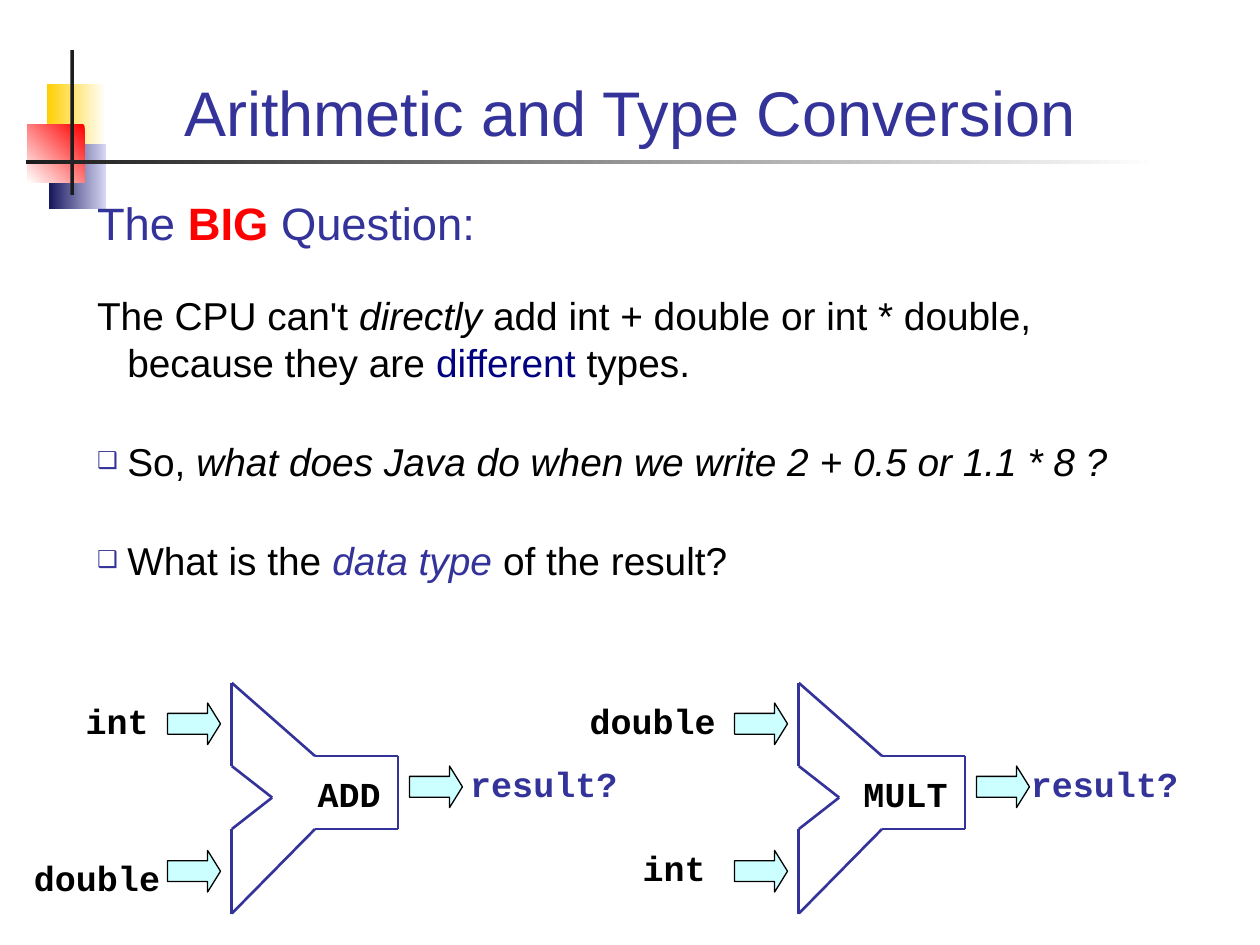
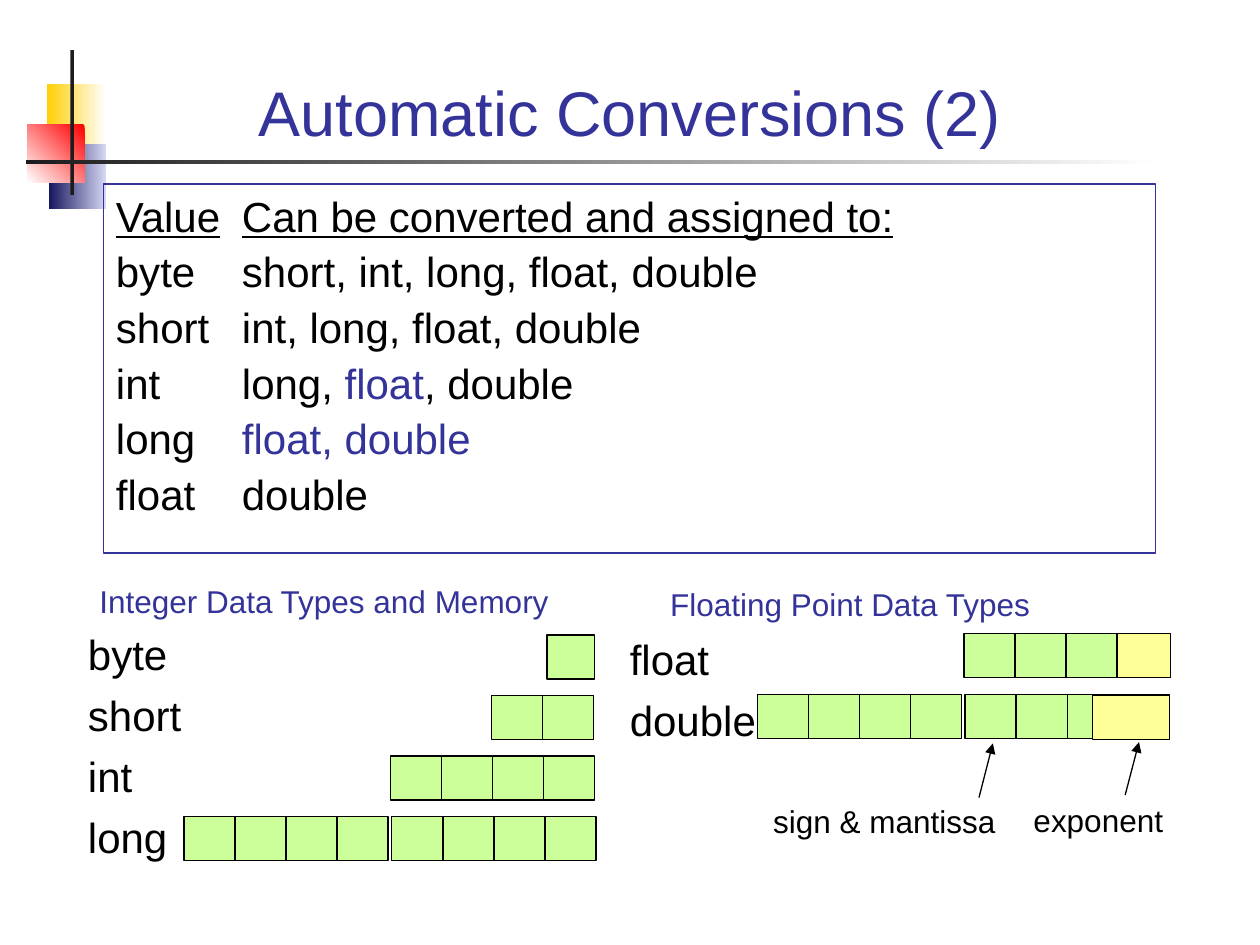
from lxml.etree import SubElement
from pptx import Presentation
from pptx.dml.color import RGBColor
from pptx.enum.shapes import MSO_CONNECTOR as Connector, MSO_SHAPE as Shape
from pptx.enum.text import MSO_ANCHOR as Anchor, MSO_AUTO_SIZE as AutoSize, PP_ALIGN as Align
from pptx.oxml.ns import qn
from pptx.util import Inches, Pt

INDIGO, BLACK, WHITE, CHARCOAL = "333399", "000000", "FFFFFF", "1C1C1C"
RED, NAVY = "FF0000", "000080"
CYAN, GREEN, YELLOW = "CCFFFF", "CCFF99", "FFFF99"
SANS, MONO = "Arial", "Courier New"
BYTE_WIDTH, BYTE_HEIGHT = 1.62 / 4, 0.35
ROW_PITCH = 0.48
ALU_OUTLINE = [(0, 0), (0.66, 0.58), (1.32, 0.58), (1.32, 1.16), (0.66, 1.16),
               (0, 1.83), (0, 1.16), (0.32, 0.91), (0, 0.66)]


def rgb(value):
    return RGBColor.from_string(value)


def box(*lengths):
    return [Inches(length) for length in lengths]


def place(shape, *bounds):
    shape.left, shape.top, shape.width, shape.height = box(*bounds)


def write(paragraph, runs, size, color=BLACK, font=SANS, bold=False,
          before=0, align=Align.LEFT):
    paragraph.alignment = align
    paragraph.space_before = Pt(before)
    paragraph.line_spacing = 1.0
    for part in runs:
        text, style = (part, {}) if isinstance(part, str) else part
        run = paragraph.add_run()
        run.text = text
        run.font.name = font
        run.font.size = Pt(size)
        run.font.bold = style.get("bold", bold)
        run.font.italic = style.get("italic", False)
        run.font.underline = style.get("underline", False)
        run.font.color.rgb = rgb(style.get("color", color))


def next_paragraph(frame, index):
    return frame.add_paragraph() if index else frame.paragraphs[0]


def set_indent(paragraph, margin, hanging, bullet=None, tab=None):
    properties = paragraph._p.get_or_add_pPr()
    properties.set("marL", str(Inches(margin)))
    properties.set("indent", str(Inches(-hanging)))
    if bullet:
        color = SubElement(properties, qn("a:buClr"))
        SubElement(color, qn("a:srgbClr"), val=INDIGO)
        SubElement(properties, qn("a:buSzPct"), val="60000")
        SubElement(properties, qn("a:buChar"), char=bullet)
    else:
        SubElement(properties, qn("a:buNone"))
    if tab:
        properties.set("defTabSz", str(Inches(tab)))
        stops = SubElement(properties, qn("a:tabLst"))
        SubElement(stops, qn("a:tab"), pos=str(Inches(tab)), algn="l")


def add_label(slide, bounds, lines, size, color=BLACK, font=SANS, bold=False,
              align=Align.LEFT):
    frame = slide.shapes.add_textbox(*box(*bounds)).text_frame
    frame.word_wrap = align == Align.LEFT
    frame.auto_size = AutoSize.NONE
    for index, line in enumerate(lines):
        write(next_paragraph(frame, index), [line], size, color, font, bold,
              6 if index else 0, align)


def add_block(slide, kind, bounds, fill):
    block = slide.shapes.add_shape(kind, *box(*bounds))
    block.shadow.inherit = False
    block.fill.solid()
    block.fill.fore_color.rgb = rgb(fill)
    block.line.color.rgb = rgb(BLACK)
    block.line.width = Pt(0.75)
    return block


def add_line(slide, start, end, color, width):
    line = slide.shapes.add_connector(Connector.STRAIGHT, *box(*start, *end))
    line.line.color.rgb = rgb(color)
    line.line.width = Pt(width)
    SubElement(line._element.spPr, qn("a:effectLst"))
    return line


def add_pointer(slide, start, end):
    pointer = add_line(slide, start, end, BLACK, 0.75)
    SubElement(pointer.line._get_or_add_ln(), qn("a:tailEnd"), type="triangle")


def add_ornament(slide, bounds, start, end, angle):
    ornament = slide.shapes.add_shape(Shape.RECTANGLE, *box(*bounds))
    ornament.shadow.inherit = False
    ornament.line.fill.background()
    ornament.fill.gradient()
    ornament.fill.gradient_angle = angle
    for stop, color in zip(ornament.fill.gradient_stops, (start, end)):
        stop.color.rgb = rgb(color)
    return ornament


def decorate_master(slide, master):
    ornaments = [
        ((0.37, 0.67, 0.47, 0.52), WHITE, "FFCF01", 180),
        ((0.39, 1.14, 0.45, 0.52), "D6D6F5", "17175E", 180),
        ((0.22, 0.99, 0.45, 0.46), RED, WHITE, 225),
        ((0.56, 0.4, 0.03, 1.15), CHARCOAL, CHARCOAL, 180),
        ((0.21, 1.27, 8.99, 0.03), WHITE, CHARCOAL, 180),
    ]
    for index, ornament in enumerate(ornaments):
        element = add_ornament(slide, *ornament)._element
        element.xpath(".//p:cNvPr")[0].set("id", str(100 + index))
        master.shapes.element.insert(2 + index, element)


def add_titled_slide(deck, title):
    slide = deck.slides.add_slide(deck.slide_layouts[1])
    heading = slide.shapes.title
    place(heading, 0.67, 0.28, 8.66, 0.95)
    frame = heading.text_frame
    frame.vertical_anchor = Anchor.BOTTOM
    frame.auto_size = AutoSize.NONE
    write(frame.paragraphs[0], [title], 36, INDIGO, align=Align.CENTER)
    return slide


def open_body(slide, *bounds):
    body = slide.placeholders[1]
    place(body, *bounds)
    body.text_frame.auto_size = AutoSize.NONE
    return body


def add_alu(slide, left, operation, operation_box, inputs, result_left):
    corners = [(left + x, 5.42 + y) for x, y in ALU_OUTLINE]
    for start, end in zip(corners, corners[1:] + corners[:1]):
        add_line(slide, start, end, INDIGO, 1.5)
    for x, y in [(-0.51, 5.58), (-0.51, 6.75), (1.41, 6.08)]:
        arrow = add_block(slide, Shape.RIGHT_ARROW, (left + x, y, 0.42, 0.33), CYAN)
        arrow.adjustments[1] = 0.31
    labels = [(operation, operation_box, BLACK),
              ("result?", (result_left, 6, 1.37, 0.44), INDIGO)]
    labels += [(name, bounds, BLACK) for name, bounds in inputs]
    for text, bounds, color in labels:
        add_label(slide, bounds, [text], 20, color, MONO, True, Align.RIGHT)


def add_bytes(slide, left, top, count):
    for index in range(count):
        cell = (left + index * BYTE_WIDTH, top, BYTE_WIDTH, BYTE_HEIGHT)
        add_block(slide, Shape.RECTANGLE, cell, GREEN)


def build_question(slide):
    italic = {"italic": True}
    paragraphs = [
        (["The ", ("BIG", {"bold": True, "color": RED}), " Question:"], 25.9, INDIGO, 0, None),
        (["The CPU can't ", ("directly", italic),
          " add int + double or int * double, because they are ",
          ("different", {"color": NAVY}), " types."], 22.2, BLACK, 24, None),
        (["So, ", ("what does Java do when we write 2 + 0.5 or 1.1 * 8 ?", italic)],
         22.2, BLACK, 30, "❑"),
        (["What is the ", ("data type", {"italic": True, "color": INDIGO}),
          " of the result?"], 22.2, BLACK, 30, "❑"),
    ]
    frame = open_body(slide, 0.67, 1.5, 8.66, 3.7).text_frame
    for index, (runs, size, color, before, bullet) in enumerate(paragraphs):
        paragraph = next_paragraph(frame, index)
        set_indent(paragraph, 0.24, 0.24, bullet)
        write(paragraph, runs, size, color, before=before)

    add_alu(slide, 1.84, "ADD", (2.42, 6.08, 0.7, 0.44),
            [("int", (0.58, 5.5, 0.7, 0.44)), ("double", (0.17, 6.75, 1.2, 0.44))], 3.63)
    add_alu(slide, 6.34, "MULT", (6.75, 6.08, 0.87, 0.44),
            [("double", (4.58, 5.5, 1.2, 0.44)), ("int", (5, 6.67, 0.7, 0.44))], 8.08)


def build_conversions(slide):
    underlined, highlighted = {"underline": True}, {"color": INDIGO}
    conversions = [
        [("Value", underlined), "\t", ("Can be converted and assigned to:", underlined)],
        ["byte\tshort, int, long, float, double"],
        ["short\tint, long, float, double"],
        ["int\tlong, ", ("float", highlighted), ", double"],
        ["long\t", ("float, double", highlighted)],
        ["float\tdouble"],
    ]
    body = open_body(slide, 0.82, 1.46, 8.35, 2.93)
    body.line.color.rgb = rgb(INDIGO)
    body.line.width = Pt(0.75)
    for index, runs in enumerate(conversions):
        paragraph = next_paragraph(body.text_frame, index)
        set_indent(paragraph, 0, 0, tab=1)
        write(paragraph, runs, 24, before=3 if index else 0)

    add_label(slide, (0.69, 4.57, 4.04, 0.4), ["Integer Data Types and Memory"], 18, INDIGO)
    add_label(slide, (0.6, 4.94, 1.03, 1.94), ["byte", "short", "int", "long"], 24)
    add_block(slide, Shape.RECTANGLE, (4.34, 5.04, 0.38, BYTE_HEIGHT), GREEN)
    for row, groups in enumerate([[(3.9, 2)], [(3.1, 4)], [(1.46, 4), (3.11, 4)]]):
        for left, count in groups:
            add_bytes(slide, left, 5.52 + row * ROW_PITCH, count)

    add_label(slide, (5.22, 4.59, 4.04, 0.4), ["Floating Point Data Types"], 18, INDIGO)
    add_label(slide, (4.9, 4.98, 1.21, 1.94), ["float", "double"], 24)
    for row, lefts in enumerate([[7.65], [6.01, 7.66]]):
        for left in lefts:
            add_bytes(slide, left, 5.03 + row * ROW_PITCH, 4)
    for exponent in [(8.87, 5.03, 0.42, BYTE_HEIGHT), (8.67, 5.52, 0.61, BYTE_HEIGHT)]:
        add_block(slide, Shape.RECTANGLE, exponent, YELLOW)

    add_pointer(slide, (8.93, 6.31), (9.04, 5.89))
    add_label(slide, (8.1, 6.31, 1.23, 0.4), ["exponent"], 18, align=Align.RIGHT)
    add_pointer(slide, (7.77, 6.33), (7.88, 5.9))
    add_label(slide, (5.66, 6.32, 2.34, 0.4), ["sign & mantissa"], 18, align=Align.RIGHT)


def main():
    deck = Presentation()
    deck.slide_width, deck.slide_height = box(10, 7.5)
    question = add_titled_slide(deck, "Arithmetic and Type Conversion")
    decorate_master(question, deck.slide_master)
    build_question(question)
    build_conversions(add_titled_slide(deck, "Automatic Conversions (2)"))
    deck.save("out.pptx")


if __name__ == "__main__":
    main()
